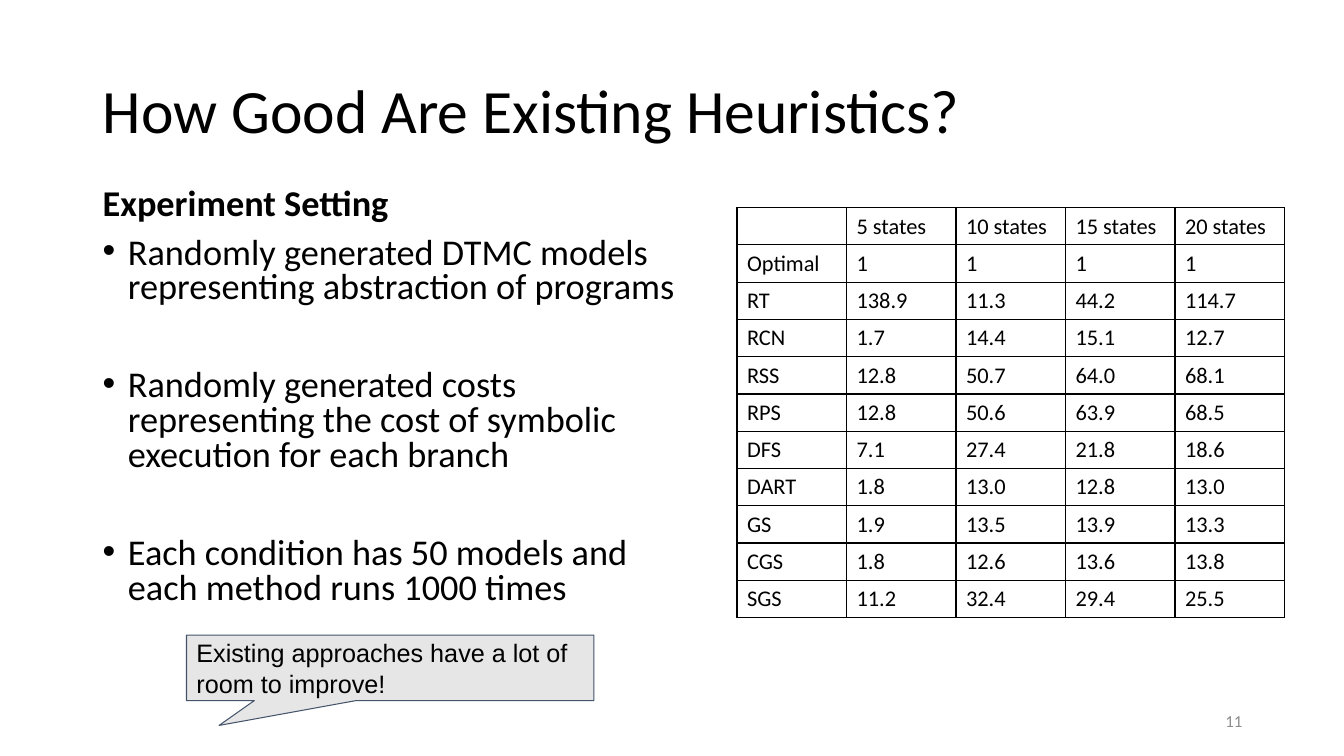
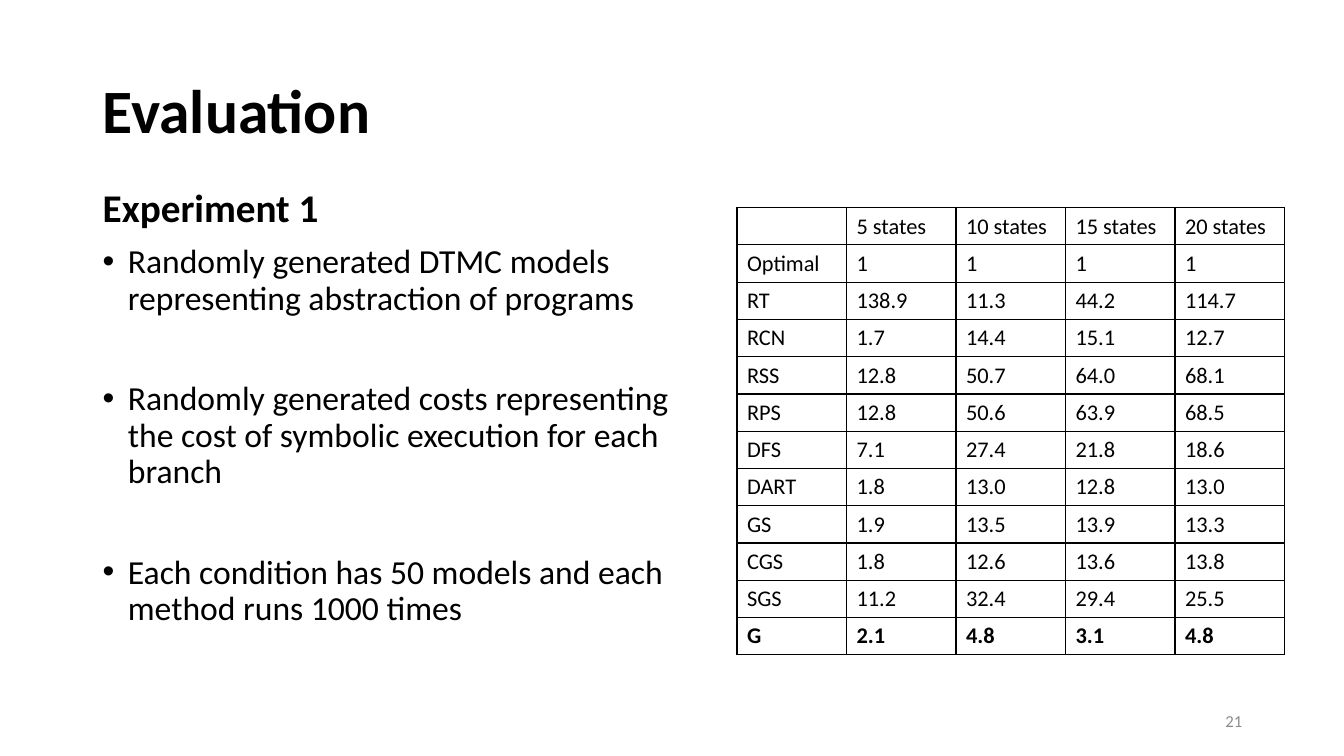
from lxml.etree import SubElement
from pptx import Presentation
from pptx.dml.color import RGBColor
from pptx.enum.shapes import MSO_SHAPE
from pptx.enum.text import MSO_ANCHOR, PP_ALIGN
from pptx.oxml.ns import qn
from pptx.util import Inches, Pt

BLACK = RGBColor(0x00, 0x00, 0x00)
GREY = RGBColor(0x8C, 0x8C, 0x8C)
CALLOUT_FILL = RGBColor(0xE7, 0xE6, 0xE6)
CALLOUT_LINE = RGBColor(0x44, 0x54, 0x6A)
FONT = "Calibri"
TABLE_SIZE = 16

TITLE_BOX = (0.92, 0.4, 11.5, 1.45)
SETTING_BOX = (0.92, 1.82, 6.15, 4.52)
NUMBER_BOX = (9.42, 6.95, 3, 0.4)
CALLOUT_BOX = (1.85, 6.3, 4.04, 0.65)
TABLE_LEFT, TABLE_TOP, TABLE_WIDTH, ROW_HEIGHT = 7.31, 2.06, 5.43, 0.37

SETTING_POINTS = [
    "Randomly generated DTMC models representing abstraction of programs",
    "Randomly generated costs representing the cost of symbolic execution for each branch",
    "Each condition has 50 models and each method runs 1000 times",
]
RESULTS = [
    ("", "5 states", "10 states", "15 states", "20 states"),
    ("Optimal", "1", "1", "1", "1"),
    ("RT", "138.9", "11.3", "44.2", "114.7"),
    ("RCN", "1.7", "14.4", "15.1", "12.7"),
    ("RSS", "12.8", "50.7", "64.0", "68.1"),
    ("RPS", "12.8", "50.6", "63.9", "68.5"),
    ("DFS", "7.1", "27.4", "21.8", "18.6"),
    ("DART", "1.8", "13.0", "12.8", "13.0"),
    ("GS", "1.9", "13.5", "13.9", "13.3"),
    ("CGS", "1.8", "12.6", "13.6", "13.8"),
    ("SGS", "11.2", "32.4", "29.4", "25.5"),
]
GREEDY_RESULT = ("G", "2.1", "4.8", "3.1", "4.8")


def inches(box):
    """Convert a box of numbers to lengths."""
    return [Inches(length) for length in box]


def format_runs(paragraph, size, color=BLACK, bold=False, font=FONT):
    """Give every run of a paragraph one style."""
    for run in paragraph.runs:
        run.font.name = font
        run.font.size = Pt(size)
        run.font.bold = bold
        run.font.color.rgb = color


def add_title(slide, text, bold, box):
    """Place and style the title placeholder."""
    title = slide.shapes.title
    title.left, title.top, title.width, title.height = inches(box)
    title.text_frame.text = text
    title.text_frame.vertical_anchor = MSO_ANCHOR.MIDDLE
    heading = title.text_frame.paragraphs[0]
    heading.alignment = PP_ALIGN.LEFT
    heading.line_spacing = 0.9
    format_runs(heading, 44, bold=bold)


def add_slide_number(slide, number, box):
    """Write the slide number at the lower right."""
    frame = slide.shapes.add_textbox(*inches(box)).text_frame
    frame.word_wrap = True
    frame.vertical_anchor = MSO_ANCHOR.MIDDLE
    frame.text = number
    frame.paragraphs[0].alignment = PP_ALIGN.RIGHT
    format_runs(frame.paragraphs[0], 12, GREY)


def add_bullet(paragraph):
    """Give a paragraph a hanging round bullet."""
    properties = paragraph._p.get_or_add_pPr()
    properties.set("marL", str(Inches(0.25)))
    properties.set("indent", str(-Inches(0.25)))
    SubElement(properties, qn("a:buFont"), typeface="Arial")
    SubElement(properties, qn("a:buChar"), char="•")


def add_setting(slide, heading, heading_size, point_size, spacing, point_gap, box):
    """List the experiment setting under a bold heading."""
    frame = slide.shapes.add_textbox(*inches(box)).text_frame
    frame.word_wrap = True
    frame.text = heading
    frame.paragraphs[0].line_spacing = spacing
    format_runs(frame.paragraphs[0], heading_size, bold=True)
    for index, text in enumerate(SETTING_POINTS):
        point = frame.add_paragraph()
        point.text = text
        add_bullet(point)
        point.line_spacing = spacing
        point.space_before = Pt(point_gap if index else 10)
        format_runs(point, point_size)


def add_borders(cell):
    """Draw a thin black line on each side of a cell."""
    properties = cell._tc.get_or_add_tcPr()
    for side in ("lnL", "lnR", "lnT", "lnB"):
        border = SubElement(properties, qn(f"a:{side}"), w=str(Pt(1)))
        fill = SubElement(border, qn("a:solidFill"))
        SubElement(fill, qn("a:srgbClr"), val=str(BLACK))


def add_results(slide, rows, left, top, width):
    """Tabulate the cost of each method by model size."""
    box = inches((left, top, width, ROW_HEIGHT * len(rows)))
    table = slide.shapes.add_table(len(rows), len(rows[0]), *box).table
    table.first_row = table.horz_banding = False
    for row_index, values in enumerate(rows):
        for column_index, value in enumerate(values):
            cell = table.cell(row_index, column_index)
            add_borders(cell)
            cell.fill.background()
            cell.text_frame.text = value
            entry = cell.text_frame.paragraphs[0]
            format_runs(entry, TABLE_SIZE, bold=values == GREEDY_RESULT)
            if not value:
                entry._p.get_or_add_endParaRPr().set("sz", str(TABLE_SIZE * 100))


def add_callout(slide, text, box):
    """Place the conclusion in a speech callout."""
    callout = slide.shapes.add_shape(MSO_SHAPE.ROUNDED_RECTANGULAR_CALLOUT, *inches(box))
    callout.shadow.inherit = False
    for index, value in enumerate((-0.42, 0.88, 0)):
        callout.adjustments[index] = value
    callout.fill.solid()
    callout.fill.fore_color.rgb = CALLOUT_FILL
    callout.line.color.rgb = CALLOUT_LINE
    callout.line.width = Pt(0.75)
    frame = callout.text_frame
    frame.word_wrap = True
    frame.vertical_anchor = MSO_ANCHOR.MIDDLE
    frame.margin_left = frame.margin_right = Inches(0.1)
    frame.margin_top = frame.margin_bottom = Inches(0.1)
    frame.text = text
    frame.paragraphs[0].alignment = PP_ALIGN.LEFT
    format_runs(frame.paragraphs[0], 18, font="Arial")


def add_experiment_slide(deck, title, title_bold, number, rows):
    """Start a slide with title, number and results table."""
    slide = deck.slides.add_slide(deck.slide_layouts[5])
    add_title(slide, title, title_bold, TITLE_BOX)
    add_slide_number(slide, number, NUMBER_BOX)
    add_results(slide, rows, TABLE_LEFT, TABLE_TOP, TABLE_WIDTH)
    return slide


def main():
    """Build and save the deck."""
    deck = Presentation()
    deck.slide_width, deck.slide_height = Inches(13.33), Inches(7.5)

    heuristics = add_experiment_slide(
        deck, "How Good Are Existing Heuristics?", False, "11", RESULTS)
    add_setting(heuristics, "Experiment Setting", 25.9, 25.9, 0.8, 45, SETTING_BOX)
    add_callout(heuristics, "Existing approaches have a lot of room to improve!", CALLOUT_BOX)

    evaluation = add_experiment_slide(
        deck, "Evaluation", True, "21", RESULTS + [GREEDY_RESULT])
    add_setting(evaluation, "Experiment 1", 28, 24, 0.9, 46, SETTING_BOX)

    deck.save("out.pptx")


if __name__ == "__main__":
    main()
